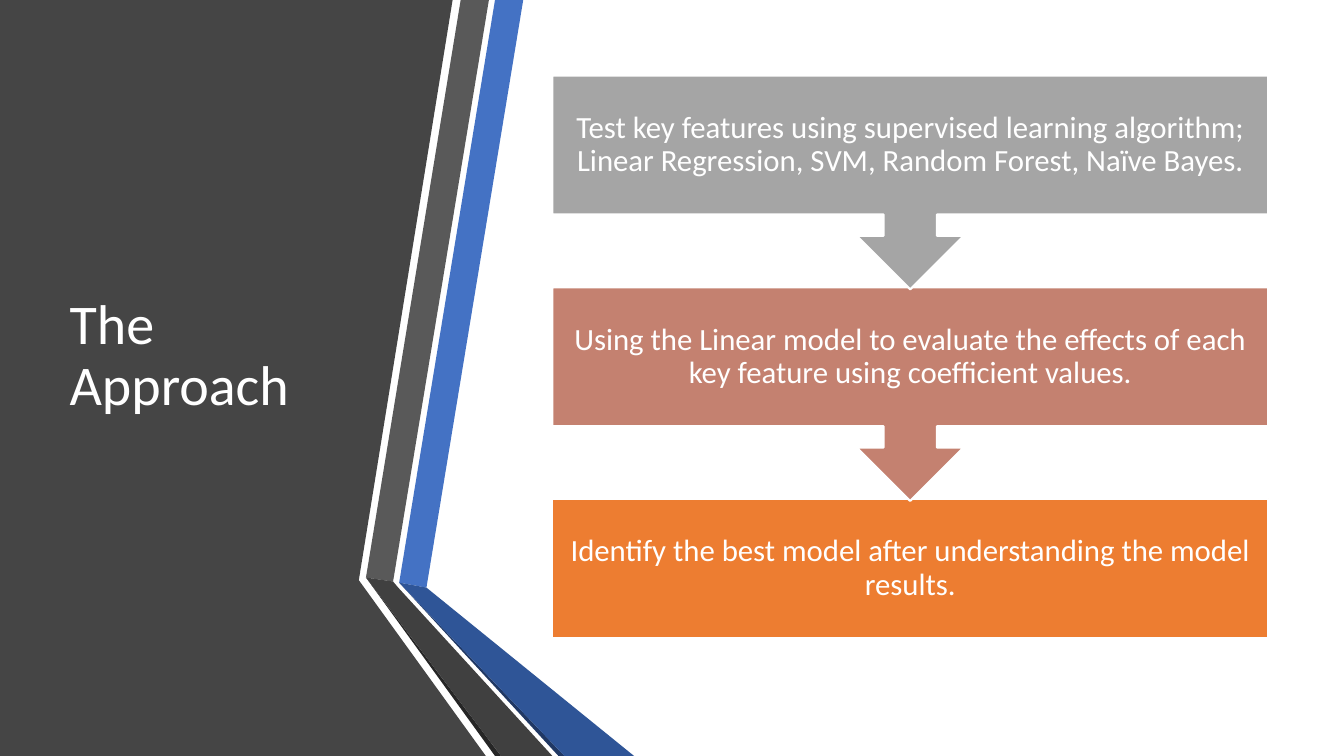
from pptx import Presentation
from pptx.dml.color import RGBColor
from pptx.enum.shapes import MSO_SHAPE as Kind
from pptx.enum.text import MSO_ANCHOR as Anchor, MSO_AUTO_SIZE as Fit, PP_ALIGN as Align
from pptx.util import Inches, Pt

WHITE = RGBColor(0xFF, 0xFF, 0xFF)
COAL = RGBColor(0x45, 0x45, 0x45)
BLUE = RGBColor(0x44, 0x72, 0xC4)
NAVY = RGBColor(0x20, 0x38, 0x64)
DEEP = RGBColor(0x2F, 0x55, 0x97)
GRAY = RGBColor(0x59, 0x59, 0x59)
DARK = RGBColor(0x40, 0x40, 0x40)
INK = RGBColor(0x26, 0x26, 0x26)
SILVER = RGBColor(0xA5, 0xA5, 0xA5)
CLAY = RGBColor(0xC4, 0x81, 0x70)
ORANGE = RGBColor(0xED, 0x7D, 0x31)

# Ribbon corners, in percent of the slide's width and height
GRAY_BEND = [(27.23, 76.4), (29.25, 76.93)]
BLUE_BEND = [(29.7, 77.07), (31.73, 77.73)]
RIBBONS = [
    (COAL, [(0, 0), (33.68, 0), (26.7, 76.75), (36.15, 100), (0, 100)]),
    (BLUE, BLUE_BEND + [(38.93, 0), (36.83, 0)]),
    (GRAY, GRAY_BEND + [(36.38, 0), (34.28, 0)]),
    (INK, [GRAY_BEND[0], (36.83, 100), (37.28, 100)]),
    (NAVY, [BLUE_BEND[0], (41.55, 100), (42, 100)]),
    (DEEP, BLUE_BEND + [(47.18, 100), (42, 100)]),
    (DARK, GRAY_BEND + [(29.63, 77.73), (41.1, 100), (37.28, 100)]),
]

STEPS = [
    (SILVER, "Test key features using supervised learning algorithm; "
             "Linear Regression, SVM, Random Forest, Naïve Bayes."),
    (CLAY, "Using the Linear model to evaluate the effects of each "
           "key feature using coefficient values."),
    (ORANGE, "Identify the best model after understanding the model results."),
]
LEFT, TOP, WIDE = 41.1, 10, 53.25
BODY, PITCH, CALLOUT = 18.4, 28, 28.27


class Deck:
    """Holds the style and the current slide; lengths are percent shares."""

    font = "Calibri"
    inset = Inches(0.17)

    def __init__(self):
        """Open a wide deck with one title-only slide."""
        self.prs = Presentation()
        self.prs.slide_width = Inches(13.33)
        self.prs.slide_height = Inches(7.5)
        self.slide = self.prs.slides.add_slide(self.prs.slide_layouts[5])
        self.shapes = self.slide.shapes

    def spot(self, x, y):
        """Turn percent shares into slide lengths."""
        return (round(self.prs.slide_width * x / 100),
                round(self.prs.slide_height * y / 100))

    def label(self, shape, text, size, align):
        """Put white, middle-anchored text into a shape."""
        frame = shape.text_frame
        frame.text = text
        frame.word_wrap = True
        frame.auto_size = Fit.NONE
        frame.vertical_anchor = Anchor.MIDDLE
        para = frame.paragraphs[0]
        para.alignment = align
        para.line_spacing = 0.9
        font = para.runs[0].font
        font.name, font.size = self.font, Pt(size)
        font.color.rgb = WHITE

    def paint(self, shape, color):
        """Give a shape a flat fill and no shadow."""
        shape.shadow.inherit = False
        shape.fill.solid()
        shape.fill.fore_color.rgb = color

    def ribbon(self, color, points):
        """Draw a filled outline through the points."""
        first, *rest = [self.spot(*point) for point in points]
        pen = self.shapes.build_freeform(*first)
        pen.add_line_segments(rest, close=True)
        shape = pen.convert_to_shape()
        self.paint(shape, color)
        shape.line.fill.background()

    def title(self, text, x, y, wide, high):
        """Place the title in front of the ribbons."""
        title = self.shapes.title
        title.left, title.top = self.spot(x, y)
        title.width, title.height = self.spot(wide, high)
        self.label(title, text, 40, Align.LEFT)
        title.element.getparent().append(title.element)

    def step(self, kind, color, text, y, high):
        """Draw one step of the flow with its text."""
        shape = self.shapes.add_shape(kind, *self.spot(LEFT, y), *self.spot(WIDE, high))
        self.paint(shape, color)
        shape.line.color.rgb = WHITE
        shape.line.width = Pt(1.5)
        self.label(shape, text, 22, Align.CENTER)
        frame = shape.text_frame
        frame.margin_left = frame.margin_right = self.inset
        frame.margin_top = frame.margin_bottom = self.inset

    def flow(self, steps):
        """Stack the steps from last to first so each arrow lies on top."""
        last = len(steps) - 1
        for row in range(last, -1, -1):
            kind, high = ((Kind.RECTANGLE, BODY) if row == last
                          else (Kind.DOWN_ARROW_CALLOUT, CALLOUT))
            self.step(kind, *steps[row], TOP + row * PITCH, high)


deck = Deck()
for color, points in RIBBONS:
    deck.ribbon(color, points)
deck.title("The Approach", 4.43, 10, 22.8, 74.4)
deck.flow(STEPS)
deck.prs.save("out.pptx")
